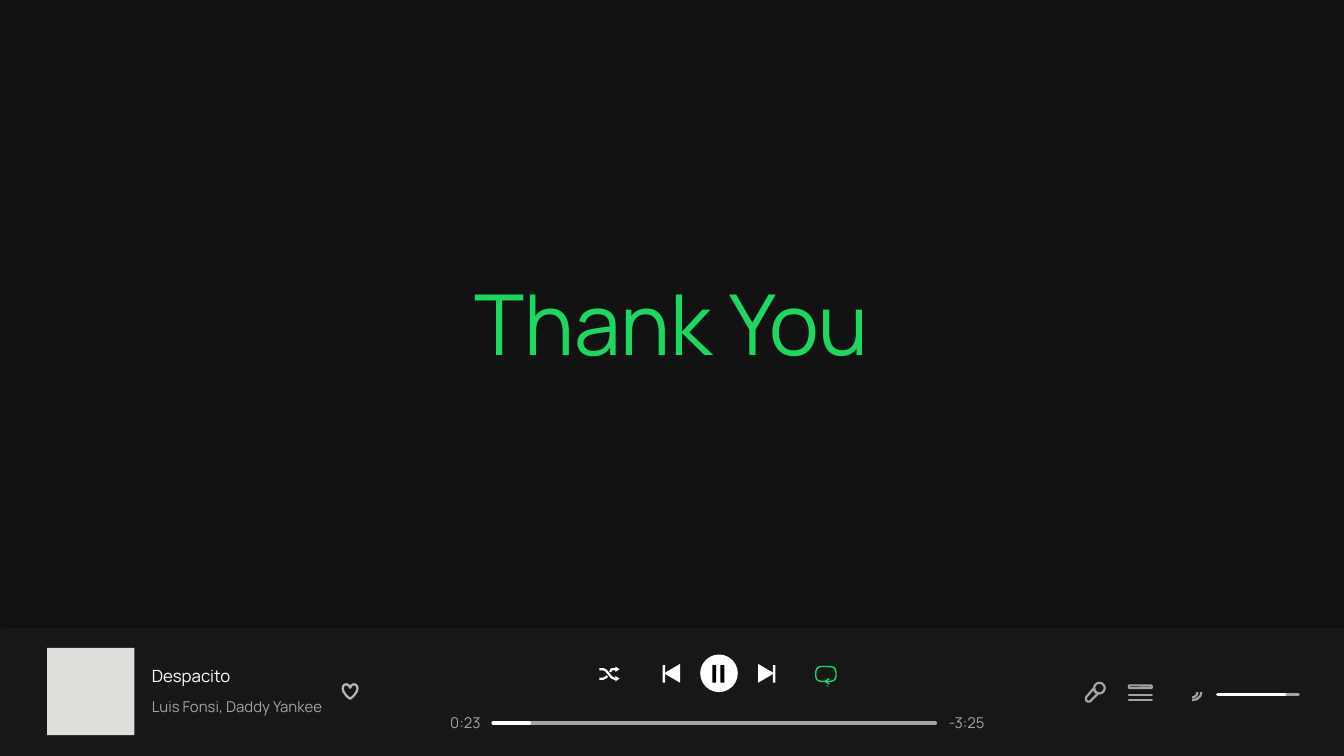
import pptx
import pptx.util
import pptx.dml.color
import pptx.enum.shapes
import pptx.enum.text
import pptx.oxml
import pptx.oxml.ns

Inches, Pt = pptx.util.Inches, pptx.util.Pt
RGBColor = pptx.dml.color.RGBColor
SHAPE = pptx.enum.shapes.MSO_SHAPE
PP_ALIGN = pptx.enum.text.PP_ALIGN

FONT = "Manrope"
BACKGROUND = RGBColor(0x12, 0x12, 0x12)
BAR = RGBColor(0x17, 0x17, 0x17)
COVER = RGBColor(0xDD, 0xDF, 0xDA)
GREEN = RGBColor(0x1E, 0xD7, 0x60)
WHITE = RGBColor(0xFF, 0xFF, 0xFF)
BLACK = RGBColor(0x00, 0x00, 0x00)
GREY = RGBColor(0xA3, 0xA3, 0xA3)
HEART = RGBColor(0xB4, 0xB5, 0xB2)


def style(s, fill, line=None, width=1.2):
    s.shadow.inherit = False
    if fill is None:
        s.fill.background()
    else:
        s.fill.solid()
        s.fill.fore_color.rgb = fill
    if line is None:
        s.line.fill.background()
    else:
        s.line.color.rgb = line
        s.line.width = Pt(width)


def add_path(points, fill, line=None, width=1.2, close=False):
    points = [(Inches(x), Inches(y)) for x, y in points]
    builder = slide.shapes.build_freeform(*points[0])
    builder.add_line_segments(points[1:], close=close)
    style(builder.convert_to_shape(), fill, line, width)


prs = pptx.Presentation()
prs.slide_width = Inches(10)
prs.slide_height = Inches(10) * 9 // 16
slide = prs.slides.add_slide(prs.slide_layouts[5])
slide.background.fill.solid()
slide.background.fill.fore_color.rgb = BACKGROUND

# Player bar with a soft shadow
bar = slide.shapes.add_shape(SHAPE.RECTANGLE, 0, Inches(4.67), Inches(10), Inches(0.96))
style(bar, BAR)
effects = bar._element.spPr.find(pptx.oxml.ns.qn("a:effectLst"))
effects.append(pptx.oxml.parse_xml(
    f'<a:outerShdw {pptx.oxml.ns.nsdecls("a")} blurRad="{Pt(10)}" dist="{Pt(3)}" '
    'dir="2700000" algn="ctr" rotWithShape="0">'
    '<a:srgbClr val="000000"><a:alpha val="60000"/></a:srgbClr></a:outerShdw>'))

# Title and labels
title = slide.shapes.title
title.left, title.top = Inches(3.24), Inches(1.98)
title.width, title.height = Inches(3.51), Inches(0.83)
labels = [(title, "Thank You", 45, GREEN, PP_ALIGN.CENTER)]
for text, x, y, w, h, size, color in [
    ("Luis Fonsi, Daddy Yankee", 1.06, 5.15, 1.57, 0.21, 8, GREY),
    ("Despacito", 1.06, 4.91, 1.57, 0.23, 9, WHITE),
    ("0:23", 3.28, 5.27, 0.39, 0.21, 8, GREY),
    ("-3:25", 6.99, 5.27, 0.51, 0.21, 8, GREY),
]:
    s = slide.shapes.add_textbox(Inches(x), Inches(y), Inches(w), Inches(h))
    labels.append((s, text, size, color, PP_ALIGN.LEFT))
for s, text, size, color, align in labels:
    tf = s.text_frame
    tf.word_wrap = True
    tf.auto_size = pptx.enum.text.MSO_AUTO_SIZE.NONE
    tf.vertical_anchor = pptx.enum.text.MSO_ANCHOR.TOP
    tf.margin_left = tf.margin_right = Inches(0.07)
    tf.margin_top = tf.margin_bottom = Inches(0.04)
    p = tf.paragraphs[0]
    p.text = text
    p.alignment = align
    p.font.name, p.font.size, p.font.color.rgb = FONT, Pt(size), color

# Cover, heart, pause button, skip bars, repeat loop and dot, microphone head, queue
for kind, x, y, w, h, fill, line, width in [
    (SHAPE.RECTANGLE, 0.35, 4.82, 0.65, 0.65, COVER, None, 0),
    (SHAPE.HEART, 2.55, 5.09, 0.11, 0.11, None, HEART, 1.2),
    (SHAPE.OVAL, 5.21, 4.87, 0.28, 0.28, WHITE, None, 0),
    (SHAPE.RECTANGLE, 5.3, 4.95, 0.03, 0.13, BLACK, None, 0),
    (SHAPE.RECTANGLE, 5.36, 4.95, 0.03, 0.13, BLACK, None, 0),
    (SHAPE.RECTANGLE, 4.93, 4.95, 0.02, 0.13, WHITE, None, 0),
    (SHAPE.RECTANGLE, 5.75, 4.95, 0.02, 0.13, WHITE, None, 0),
    (SHAPE.ROUNDED_RECTANGLE, 6.07, 4.96, 0.15, 0.11, None, GREEN, 0.75),
    (SHAPE.OVAL, 6.15, 5.1, 0.01, 0.01, GREEN, None, 0),
    (SHAPE.OVAL, 8.14, 5.08, 0.08, 0.08, None, GREY, 1.2),
    (SHAPE.ROUNDED_RECTANGLE, 8.4, 5.1, 0.17, 0.02, None, GREY, 1.2),
]:
    s = slide.shapes.add_shape(kind, Inches(x), Inches(y), Inches(w), Inches(h))
    style(s, fill, line, width)
    if kind == SHAPE.ROUNDED_RECTANGLE:
        s.adjustments[0] = 0.35

# Skip triangles and shuffle arrowheads
for tip, base, y, half in [(4.94, 5.06, 5.01, 0.07), (5.76, 5.64, 5.01, 0.07),
                           (4.61, 4.58, 4.98, 0.02), (4.61, 4.58, 5.05, 0.02)]:
    add_path([(tip, y), (base, y - half), (base, y + half)], WHITE, close=True)

# Shuffle strands, repeat arrow and microphone handle
for strand in [
    [(4.46, 4.98), (4.49, 4.98), (4.51, 4.99), (4.55, 5.04), (4.57, 5.05), (4.59, 5.05)],
    [(4.46, 5.05), (4.49, 5.05), (4.51, 5.04), (4.52, 5.03)],
    [(4.54, 5), (4.55, 4.98), (4.57, 4.98), (4.59, 4.98)],
]:
    add_path(strand, None, WHITE)
add_path([(6.17, 5.05), (6.14, 5.07), (6.17, 5.09)], None, GREEN, 0.75)
add_path([(8.14, 5.12), (8.08, 5.19), (8.08, 5.21), (8.09, 5.22), (8.11, 5.22),
          (8.17, 5.16), (8.15, 5.15)], None, GREY, close=True)

# Speaker waves: right half arcs around one centre
for rx, ry in [(0.07, 0.06), (0.04, 0.04)]:
    s = slide.shapes.add_shape(SHAPE.ARC, Inches(8.87 - rx), Inches(5.15 - ry),
                               Inches(2 * rx), Inches(2 * ry))
    s.adjustments[0], s.adjustments[1] = -54, 54
    style(s, None, GREY)

# Queue lines, song progress and volume
for x1, x2, y, color, width in [
    (8.4, 8.57, 5.17, GREY, 1.2),
    (8.4, 8.57, 5.21, GREY, 1.2),
    (3.67, 6.96, 5.38, GREY, 1.8),
    (3.67, 3.94, 5.38, WHITE, 1.8),
    (9.06, 9.66, 5.17, GREY, 1.8),
    (9.06, 9.56, 5.17, WHITE, 1.8),
]:
    s = slide.shapes.add_connector(pptx.enum.shapes.MSO_CONNECTOR.STRAIGHT,
                                   Inches(x1), Inches(y), Inches(x2), Inches(y))
    s.line.color.rgb = color
    s.line.width = Pt(width)
    s.line._get_or_add_ln().set("cap", "rnd")
    s._element.spPr.append(pptx.oxml.parse_xml(f'<a:effectLst {pptx.oxml.ns.nsdecls("a")}/>'))

prs.save("out.pptx")
